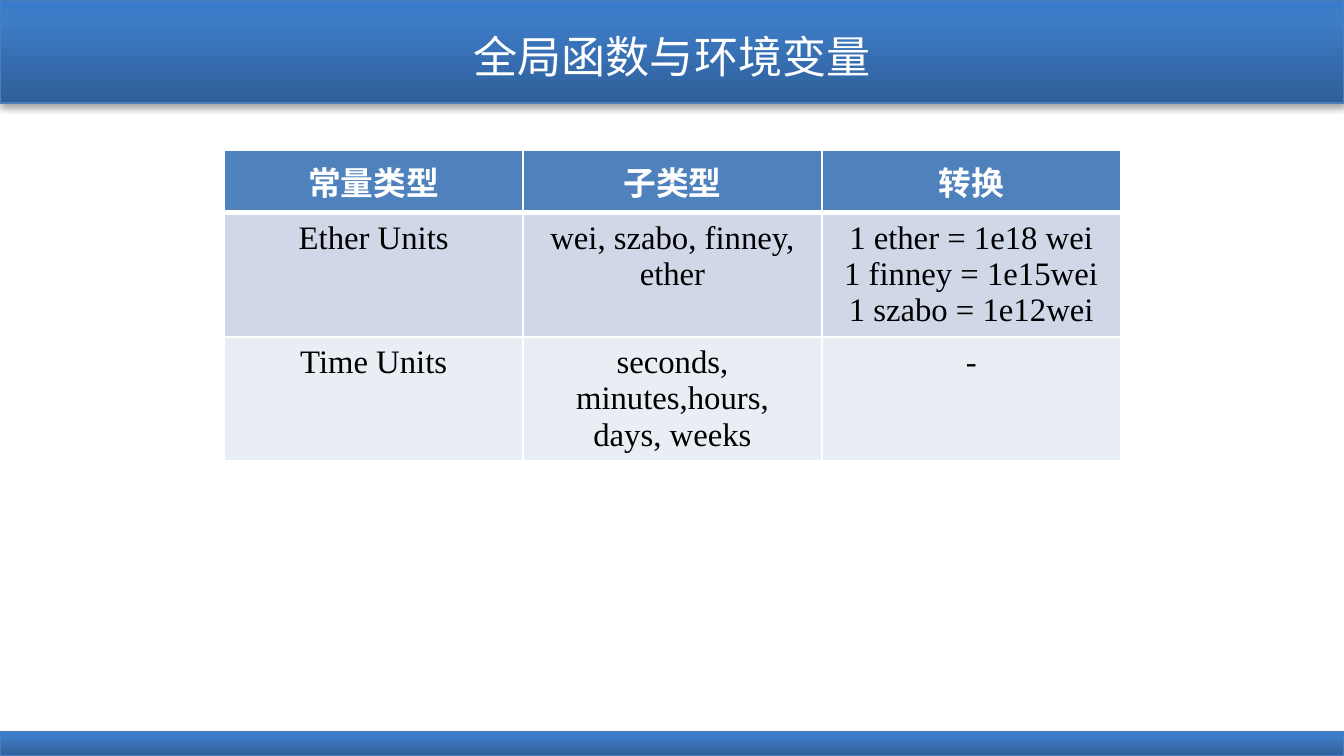
from copy import deepcopy

from pptx import Presentation
from pptx.dml.color import RGBColor
from pptx.enum.shapes import MSO_SHAPE
from pptx.enum.text import MSO_ANCHOR, PP_ALIGN
from pptx.oxml import parse_xml
from pptx.oxml.ns import nsdecls, qn
from pptx.util import Cm, Pt

WHITE = RGBColor(0xFF, 0xFF, 0xFF)
BLACK = RGBColor(0, 0, 0)
BAR_LINE = RGBColor(0x4B, 0x7E, 0xBC)
BAR_STOPS = [
    (0, RGBColor(0x2F, 0x5F, 0x99)),
    (0.8, RGBColor(0x3D, 0x7C, 0xC7)),
    (1, RGBColor(0x3A, 0x7C, 0xCB)),
]
HEADER_FILL = RGBColor(0x4F, 0x81, 0xBD)
ROW_FILLS = [HEADER_FILL, RGBColor(0xD0, 0xD8, 0xE8), RGBColor(0xE9, 0xED, 0xF4)]
FONT = "Times New Roman"

ROWS = [
    ["常量类型", "子类型", "转换"],
    ["Ether Units", "wei, szabo, finney, ether",
     "1 ether = 1e18 wei\n1 finney = 1e15wei\n1 szabo = 1e12wei"],
    ["Time Units", "seconds, minutes,hours, days, weeks", "-"],
]


def add_text(para, text, size, color, bold=False):
    para.alignment = PP_ALIGN.CENTER
    span = para.add_run()
    span.text = text
    span.font.name = FONT
    span.font.size = Pt(size)
    span.font.bold = bold
    span.font.color.rgb = color


def add_border(cell, side, width):
    cell._tc.get_or_add_tcPr().append(parse_xml(
        f'<a:{side} {nsdecls("a")} w="{Pt(width)}"><a:solidFill>'
        f'<a:srgbClr val="{WHITE}"/></a:solidFill></a:{side}>'))


deck = Presentation()
deck.slide_width = Cm(22.58)
deck.slide_height = Cm(12.7)
page = deck.slides.add_slide(deck.slide_layouts[5])
title = page.shapes.title

# Gradient bars at the top and bottom, behind the title
for top, height in [(0, 1.73), (12.29, 0.41)]:
    bar = page.shapes.add_shape(
        MSO_SHAPE.RECTANGLE, 0, Cm(top), deck.slide_width, Cm(height))
    bar.line.color.rgb = BAR_LINE
    bar.line.width = Pt(0.75)
    bar.fill.gradient()
    bar.fill.gradient_angle = 90
    stop_list = bar.element.find(".//" + qn("a:gsLst"))
    stop_list.append(deepcopy(stop_list[-1]))
    for stop, (position, color) in zip(bar.fill.gradient_stops, BAR_STOPS):
        stop.position = position
        stop.color.rgb = color
    bar.shadow.inherit = False
    bar.element.spPr.find(qn("a:effectLst")).append(parse_xml(
        f'<a:outerShdw {nsdecls("a")} blurRad="{Pt(3.1)}" dist="{Pt(1.8)}" '
        'dir="5400000" rotWithShape="0"><a:srgbClr val="000000">'
        '<a:alpha val="35000"/></a:srgbClr></a:outerShdw>'))
    title.element.addprevious(bar.element)

# Title
title.left, title.top = 0, Cm(0.33)
title.width, title.height = deck.slide_width, Cm(1.22)
title.text_frame.vertical_anchor = MSO_ANCHOR.MIDDLE
add_text(title.text_frame.paragraphs[0], "全局函数与环境变量", 21, WHITE)

# Table of units
table = page.shapes.add_table(
    3, 3, Cm(3.77), Cm(2.52), Cm(15.06), Cm(3.12)).table
for column in table.columns:
    column.width = Cm(5.02)
for row_index, texts in enumerate(ROWS):
    is_header = row_index == 0
    table.rows[row_index].height = Cm(1.04)
    for column_index, text in enumerate(texts):
        cell = table.cell(row_index, column_index)
        for side in ("lnL", "lnR", "lnT", "lnB"):
            at_header_edge = (row_index, side) in [(0, "lnB"), (1, "lnT")]
            add_border(cell, side, 3 if at_header_edge else 1)
        cell.fill.solid()
        cell.fill.fore_color.rgb = ROW_FILLS[row_index]
        frame = cell.text_frame
        for line_index, line in enumerate(text.split("\n")):
            para = frame.add_paragraph() if line_index else frame.paragraphs[0]
            add_text(para, line, 15.6, WHITE if is_header else BLACK, is_header)

deck.save("out.pptx")
